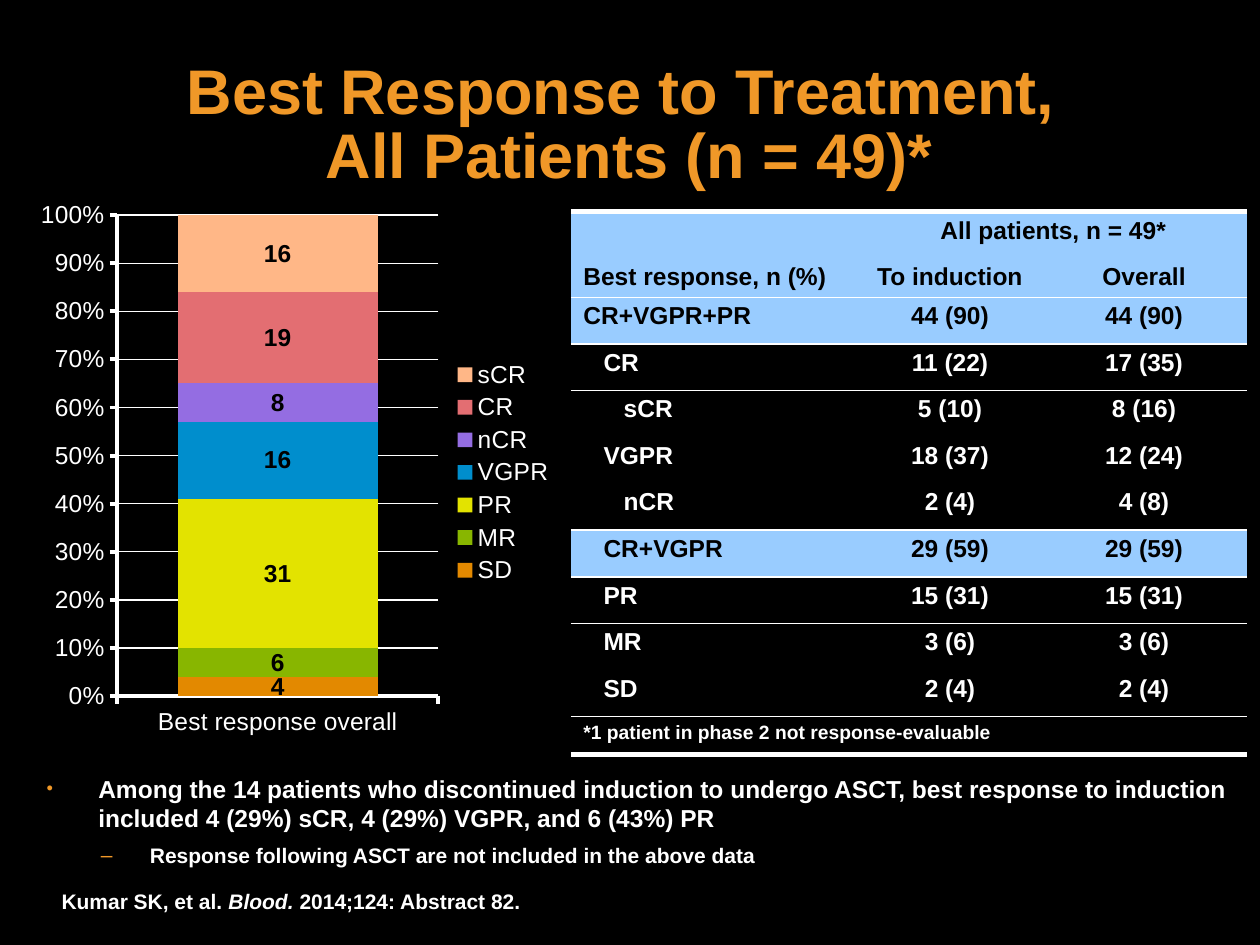
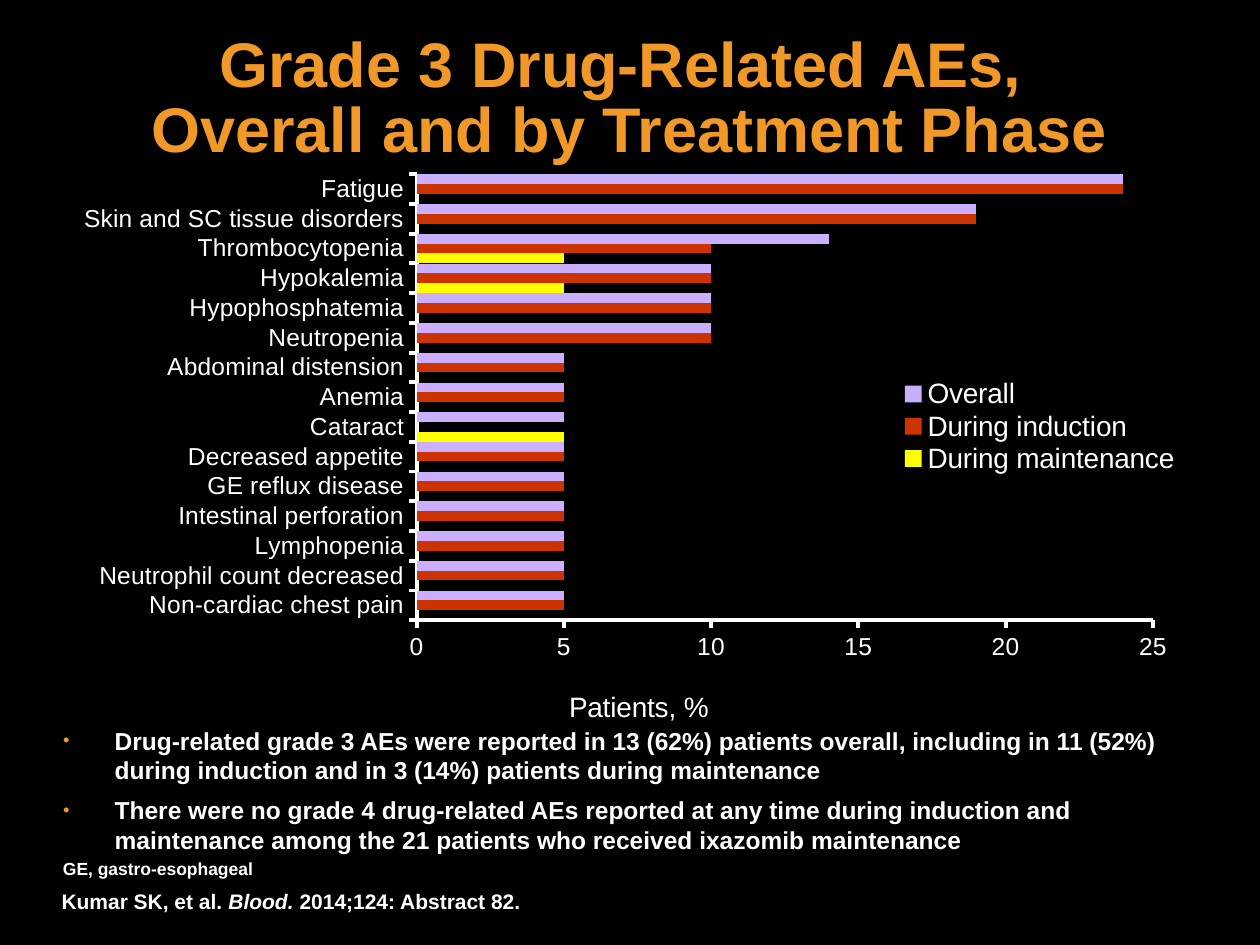
from dataclasses import dataclass

from pptx import Presentation
from pptx.chart import data as feed
from pptx.dml import color as dye
from pptx.enum import chart as kinds, text
from pptx.oxml import parse_xml
from pptx.oxml import ns
from pptx.util import Inches, Pt


@dataclass(frozen=True)
class Theme:
    font: str = "Arial"
    black: str = "000000"
    white: str = "FFFFFF"
    gold: str = "F09828"
    blue: str = "99CCFF"
    head: int = 36
    label: int = 16
    body: int = 14
    small: int = 12
    note: int = 11
    tiny: int = 10


BULLETS = (("•", 0.41, -0.41, 75), ("‒", 0.82, -0.39, 100))
NO_STYLE = "{2D5ABB26-0587-4C30-8999-92F81FD0307C}"


def rgb(tone):
    return dye.RGBColor.from_string(tone)


def place(chart, tag, index, box, inner=False):
    node = chart.element.find(".//" + ns.qn(tag))
    old = node.find(ns.qn("c:layout"))
    if old is not None:
        node.remove(old)
    target = '<c:layoutTarget val="inner"/>' if inner else ""
    modes = "".join(f'<c:{k}Mode val="edge"/>' for k in "xy")
    sizes = "".join(f'<c:{k} val="{v}"/>' for k, v in zip("xywh", box))
    node.insert(index, parse_xml(
        f'<c:layout {ns.nsdecls("c")}><c:manualLayout>{target}{modes}{sizes}'
        "</c:manualLayout></c:layout>"))


class Deck:
    def __init__(self, theme):
        self.theme = theme
        self.show = Presentation()
        self.show.slide_width, self.show.slide_height = Inches(10), Inches(7.5)
        fill = self.show.slide_master.background.fill
        fill.solid()
        fill.fore_color.rgb = rgb(theme.black)
        self.slide = None

    def style(self, font, size, tone=None, bold=True):
        font.name, font.size, font.bold = self.theme.font, Pt(size), bold
        font.color.rgb = rgb(tone or self.theme.white)

    def line(self, item, width):
        item.format.line.color.rgb = rgb(self.theme.white)
        item.format.line.width = Pt(width)

    def title(self, words, top):
        self.slide = self.show.slides.add_slide(self.show.slide_layouts[5])
        head = self.slide.shapes.title
        head.left, head.top, head.width, head.height = map(Inches, (0.5, top, 8.99, 1.12))
        frame = head.text_frame
        frame.text = words
        frame.auto_size = text.MSO_AUTO_SIZE.NONE
        frame.vertical_anchor = text.MSO_ANCHOR.BOTTOM
        frame.margin_left = frame.margin_right = Inches(0.04)
        frame.margin_top = frame.margin_bottom = Inches(0.04)
        para = frame.paragraphs[0]
        para.alignment = text.PP_ALIGN.CENTER
        para.line_spacing = 0.85
        for run in para.runs:
            self.style(run.font, self.theme.head, self.theme.gold)

    def box(self, at, tight=True):
        frame = self.slide.shapes.add_textbox(*map(Inches, at)).text_frame
        frame.word_wrap = tight
        if tight:
            frame.margin_left = 0
            frame.margin_top = frame.margin_right = frame.margin_bottom = Inches(0.04)
        return frame

    def bullets(self, at, items):
        frame = self.box(at)
        for i, (level, words) in enumerate(items):
            para = frame.add_paragraph() if i else frame.paragraphs[0]
            para.text = words
            mark, left, hang, scale = BULLETS[level]
            props = para._p.get_or_add_pPr()
            props.set("marL", str(Inches(left)))
            props.set("indent", str(Inches(hang)))
            for part in (
                f'buClr {ns.nsdecls("a")}><a:srgbClr val="{self.theme.gold}"/></a:buClr',
                f'buSzPct {ns.nsdecls("a")} val="{scale * 1000}"/',
                f'buFont {ns.nsdecls("a")} typeface="{self.theme.font}"/',
                f'buChar {ns.nsdecls("a")} char="{mark}"/',
            ):
                props.append(parse_xml(f"<a:{part}>"))
            para.level = level
            para.space_before, para.space_after = Pt(0), Pt(6)
            size = self.theme.small if level else self.theme.body
            self.style(para.runs[0].font, size)

    def note(self, at, words):
        para = self.box(at).paragraphs[0]
        para.text = words
        self.style(para.runs[0].font, self.theme.tiny)

    def source(self):
        frame = self.box((0.39, 7, 3.88, 0.3), tight=False)
        frame.auto_size = text.MSO_AUTO_SIZE.SHAPE_TO_FIT_TEXT
        para = frame.paragraphs[0]
        for words in ("Kumar SK, et al. ", "Blood. ", "2014;124: Abstract 82."):
            run = para.add_run()
            run.text = words
            self.style(run.font, self.theme.small)
            run.font.italic = words.startswith("Blood")

    def chart(self, kind, at, cats, series, gap, area):
        data = feed.CategoryChartData()
        data.categories = cats
        for name, values, tone in series:
            data.add_series(name, values)
        chart = self.slide.shapes.add_chart(kind, *map(Inches, at), data).chart
        self.style(chart.font, self.theme.body, bold=False)
        chart.has_title = False
        chart.has_legend = True
        chart.legend.position = kinds.XL_LEGEND_POSITION.RIGHT
        chart.legend.include_in_layout = False
        plot = chart.plots[0]
        plot.gap_width = gap
        plot.vary_by_categories = False
        for item, (name, values, tone) in zip(plot.series, series):
            item.format.fill.solid()
            item.format.fill.fore_color.rgb = rgb(tone)
        for axis in (chart.category_axis, chart.value_axis):
            self.line(axis, 2.25)
            axis.major_tick_mark = kinds.XL_TICK_MARK.OUTSIDE
            axis.minor_tick_mark = kinds.XL_TICK_MARK.NONE
            axis.has_major_gridlines = False
            self.style(axis.tick_labels.font, self.theme.body, bold=False)
        chart.value_axis.minimum_scale = 0
        place(chart, "c:plotArea", 0, area, inner=True)
        return chart

    def edge(self, cell, side, width):
        cell._tc.get_or_add_tcPr().append(parse_xml(
            f'<a:ln{side} {ns.nsdecls("a")} w="{Pt(width)}"><a:solidFill>'
            f'<a:srgbClr val="{self.theme.white}"/></a:solidFill></a:ln{side}>'))

    def table(self, at, widths, heights, rows, shaded, tops, bases):
        frame = self.slide.shapes.add_table(len(rows), len(widths), *map(Inches, at))
        frame.element.find(".//" + ns.qn("a:tableStyleId")).text = NO_STYLE
        grid = frame.table
        grid.first_row = grid.horz_banding = False
        for col, width in zip(grid.columns, widths):
            col.width = Inches(width)
        for r, (indent, *words) in enumerate(rows):
            grid.rows[r].height = Inches(heights[r])
            for c, word in enumerate(words):
                cell = grid.cell(r, c)
                for side, rule in (("T", tops), ("B", bases)):
                    if r in rule:
                        self.edge(cell, side, rule[r])
                if r in shaded:
                    cell.fill.solid()
                    cell.fill.fore_color.rgb = rgb(self.theme.blue)
                else:
                    cell.fill.background()
                cell.text = word
                cell.margin_left = Inches(0.1 + (0 if c else 0.16 * indent))
                if r < 2:
                    cell.vertical_anchor = text.MSO_ANCHOR.BOTTOM
                para = cell.text_frame.paragraphs[0]
                para.line_spacing = 0.95
                para.alignment = text.PP_ALIGN.CENTER if c else text.PP_ALIGN.LEFT
                size = self.theme.note if r == len(rows) - 1 else self.theme.body
                tone = self.theme.black if r in shaded else self.theme.white
                self.style(para.font, size, tone)
                for run in para.runs:
                    self.style(run.font, size, tone)
        return grid


def response(deck):
    deck.title("Best Response to Treatment, \vAll Patients (n = 49)*", 0.44)
    shares = (
        ("SD", [4], "E38900"), ("MR", [6], "88B600"), ("PR", [31], "E3E300"),
        ("VGPR", [16], "008ECD"), ("nCR", [8], "946DE2"), ("CR", [19], "E36E72"),
        ("sCR", [16], "FFB787"),
    )
    chart = deck.chart(kinds.XL_CHART_TYPE.COLUMN_STACKED_100, (0.25, 1.53, 4.25, 4.44),
                       ["Best response overall"], shares, 61, (0.16, 0.04, 0.6, 0.86))
    deck.style(chart.legend.font, deck.theme.body, bold=False)
    axis = chart.value_axis
    axis.maximum_scale, axis.major_unit = 1, 0.1
    axis.tick_labels.number_format = "0%"
    axis.tick_labels.number_format_is_linked = False
    axis.has_major_gridlines = True
    deck.line(axis.major_gridlines, 0.75)
    plot = chart.plots[0]
    plot.overlap = 100
    for item in plot.series:
        labels = item.data_labels
        labels.show_value = True
        deck.style(labels.font, deck.theme.body, deck.theme.black)

    rows = (
        (0, "Best response, n (%)", "All patients, n = 49*", ""),
        (0, "", "To induction", "Overall"),
        (0, "CR+VGPR+PR", "44 (90)", "44 (90)"),
        (1, "CR", "11 (22)", "17 (35)"),
        (2, "sCR", "5 (10)", "8 (16)"),
        (1, "VGPR", "18 (37)", "12 (24)"),
        (2, "nCR", "2 (4)", "4 (8)"),
        (1, "CR+VGPR", "29 (59)", "29 (59)"),
        (1, "PR", "15 (31)", "15 (31)"),
        (1, "MR", "3 (6)", "3 (6)"),
        (1, "SD", "2 (4)", "2 (4)"),
        (0, "*1 patient in phase 2 not response-evaluable", "", ""),
    )
    grid = deck.table((4.53, 1.68, 5.37, 4.29), (2.29, 1.44, 1.64),
                      [0.31] + [0.37] * 10 + [0.3], rows, {0, 1, 2, 7},
                      {0: 3, 2: 1, 3: 1, 7: 1, 8: 1, 11: 1},
                      {1: 1, 2: 1, 6: 1, 7: 1, 10: 1, 11: 3})
    for start, end in (((0, 0), (1, 0)), ((0, 1), (0, 2)), ((11, 0), (11, 2))):
        grid.cell(*start).merge(grid.cell(*end))

    deck.bullets((0.37, 6.1, 9.51, 1.03), (
        (0, "Among the 14 patients who discontinued induction to undergo ASCT, best response "
            "to induction included 4 (29%) sCR, 4 (29%) VGPR, and 6 (43%) PR"),
        (1, "Response following ASCT are not included in the above data"),
    ))
    deck.source()


def events(deck):
    deck.title("Grade 3 Drug-Related AEs, \vOverall and by Treatment Phase", 0.23)
    rates = (
        ("Non-cardiac chest pain", 0, 5, 5), ("Neutrophil count decreased", 0, 5, 5),
        ("Lymphopenia", 0, 5, 5), ("Intestinal perforation", 0, 5, 5),
        ("GE reflux disease", 0, 5, 5), ("Decreased appetite", 0, 5, 5),
        ("Cataract", 5, 0, 5), ("Anemia", 0, 5, 5), ("Abdominal distension", 0, 5, 5),
        ("Neutropenia", 0, 10, 10), ("Hypophosphatemia", 0, 10, 10),
        ("Hypokalemia", 5, 10, 10), ("Thrombocytopenia", 5, 10, 14),
        ("Skin and SC tissue disorders", 0, 19, 19), ("Fatigue", 0, 24, 24),
    )
    cats, late, early, total = zip(*rates)
    series = (("During maintenance", late, "FFFF00"), ("During induction", early, "CC3300"),
              ("Overall", total, "CAAFFE"))
    chart = deck.chart(kinds.XL_CHART_TYPE.BAR_CLUSTERED, (0.52, 1.29, 8.99, 4.6),
                       cats, series, 5, (0.31, 0.02, 0.65, 0.77))
    axis = chart.value_axis
    axis.maximum_scale, axis.major_unit = 25, 5
    frame = axis.axis_title.text_frame
    frame.text = "Patients, %"
    deck.style(frame.paragraphs[0].runs[0].font, deck.theme.label, bold=False)
    place(chart, "c:title", 1, (0.44, 0.9))
    chart.legend.include_in_layout = True
    deck.style(chart.legend.font, deck.theme.label, bold=False)
    place(chart, "c:legend", 1, (0.73, 0.37, 0.26, 0.17))

    deck.note((0.5, 6.77, 1.73, 0.27), "GE, gastro-esophageal")
    deck.bullets((0.5, 5.72, 8.99, 1.12), (
        (0, "Drug-related grade 3 AEs were reported in 13 (62%) patients overall, including "
            "in 11 (52%) during induction and in 3 (14%) patients during maintenance"),
        (0, "There were no grade 4 drug-related AEs reported at any time during induction and "
            "maintenance among the 21 patients who received ixazomib maintenance"),
    ))
    deck.source()


def main():
    deck = Deck(Theme())
    response(deck)
    events(deck)
    deck.show.save("out.pptx")


if __name__ == "__main__":
    main()
